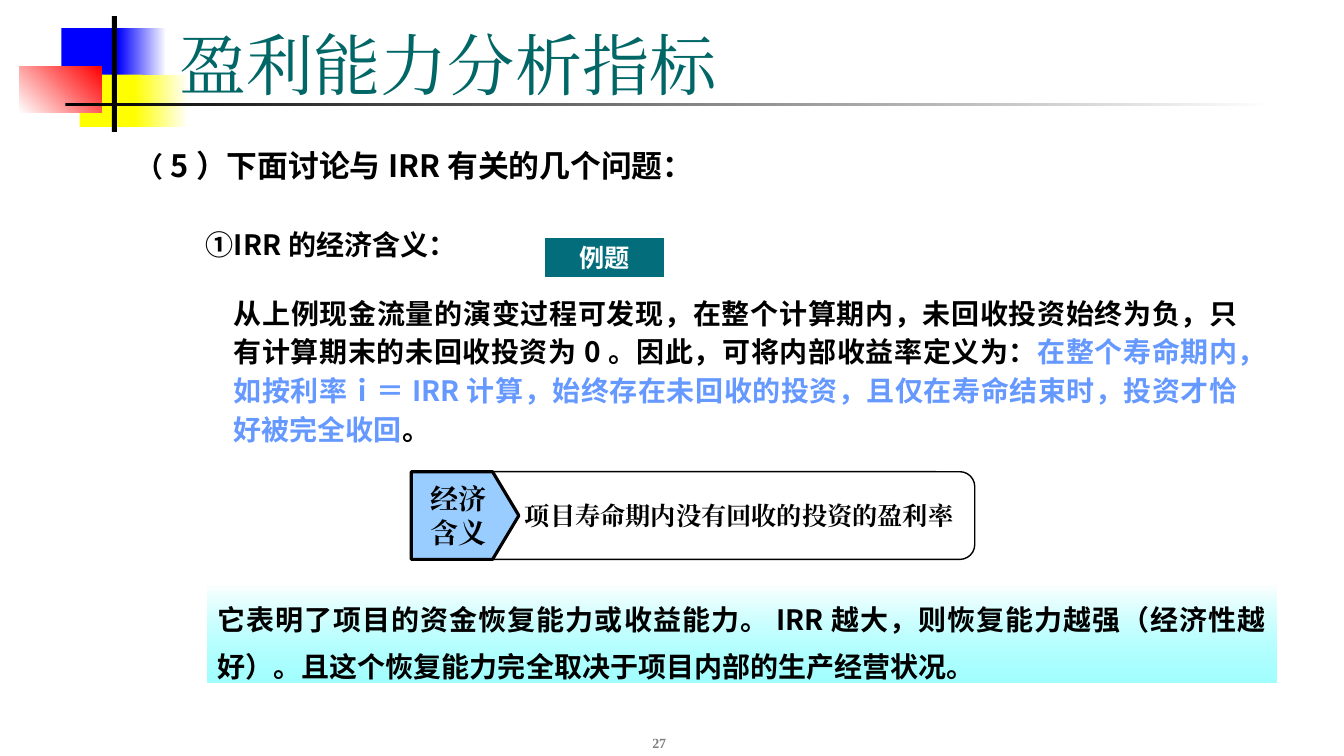
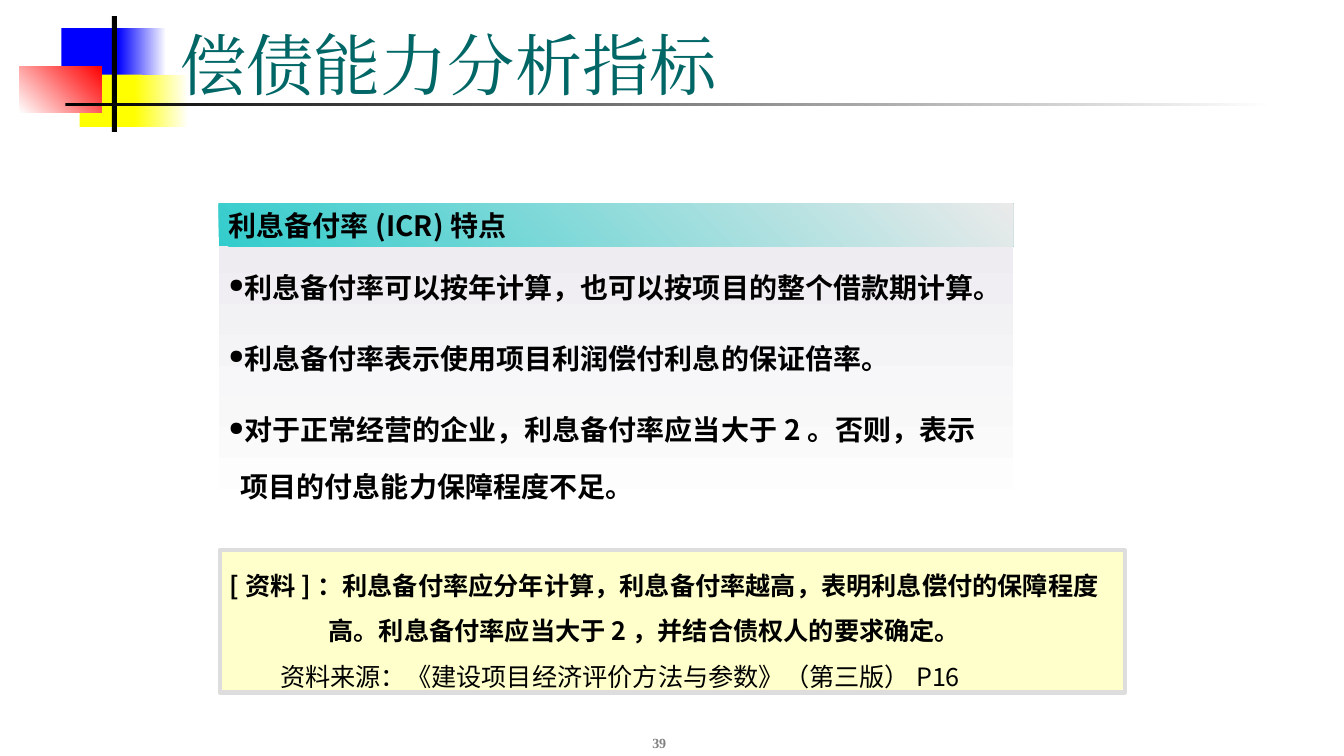
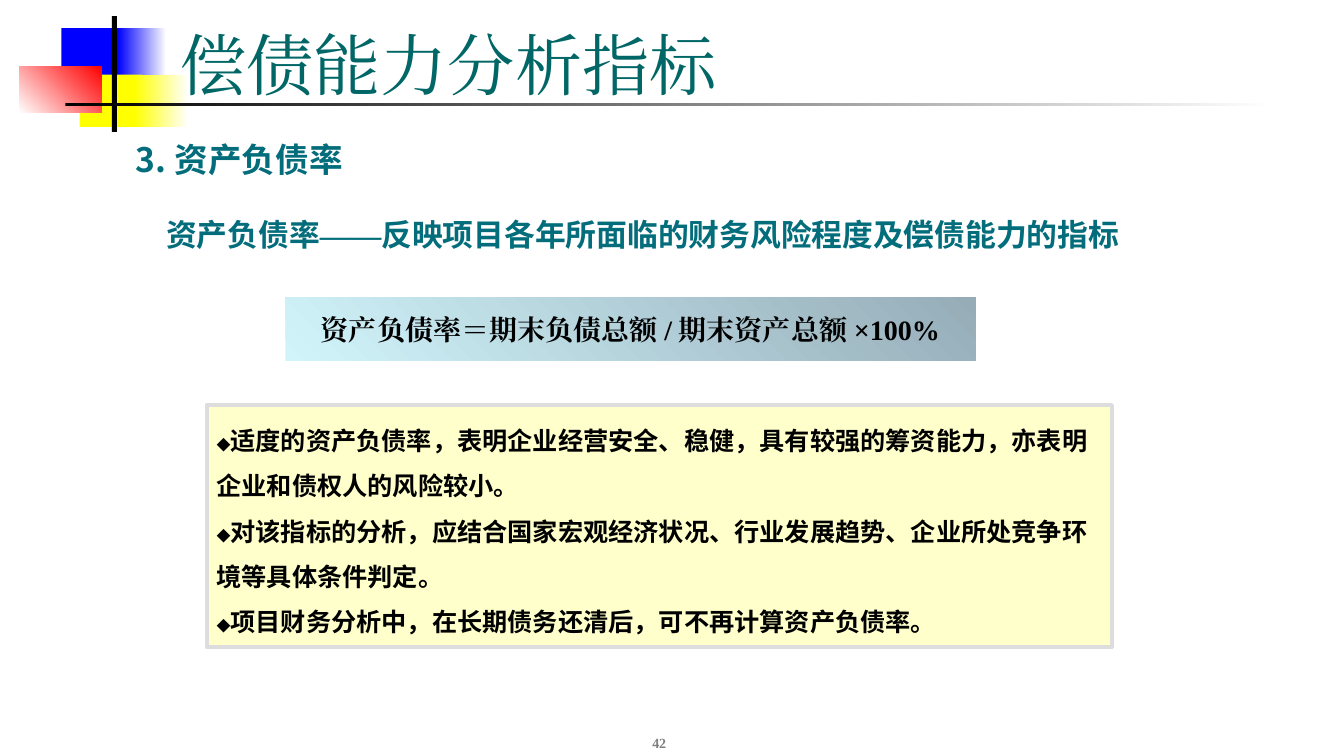
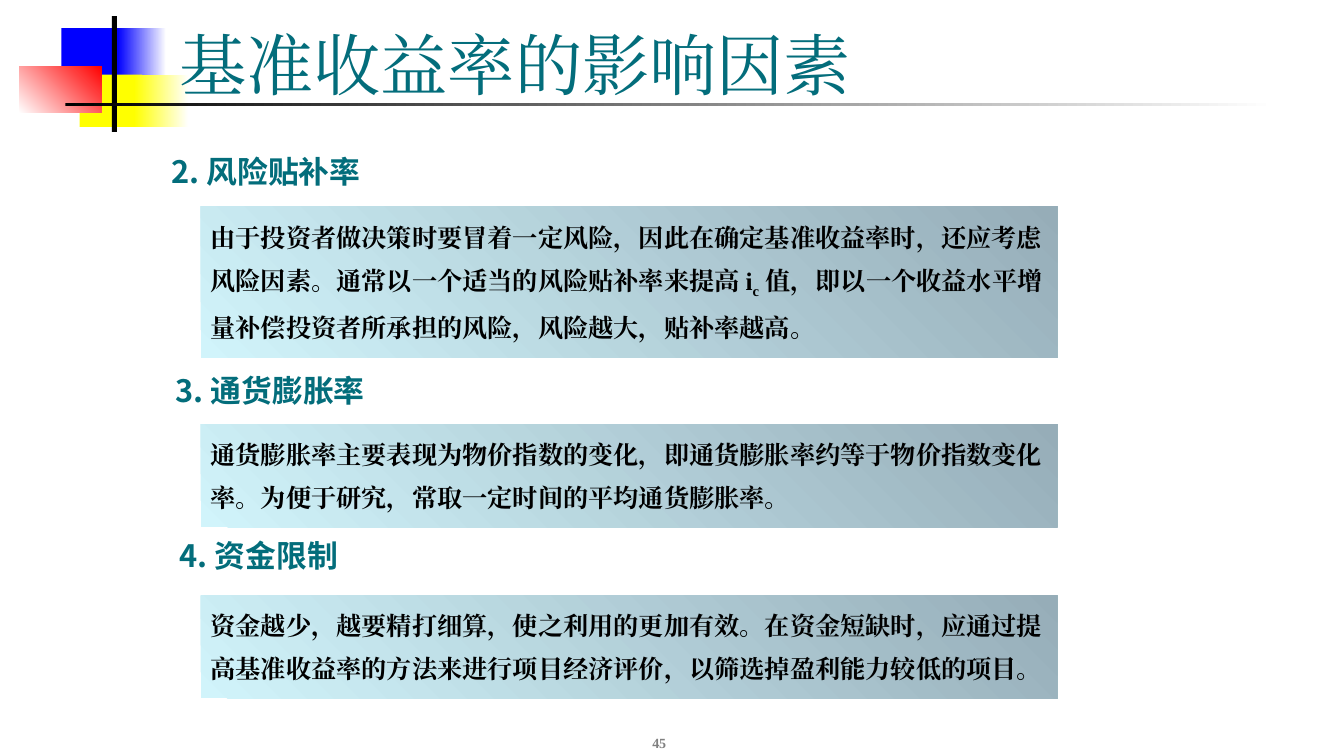
from dataclasses import dataclass, replace

from lxml.etree import SubElement
from pptx import Presentation
from pptx.dml.color import RGBColor
from pptx.enum.shapes import MSO_SHAPE
from pptx.enum.text import MSO_ANCHOR, PP_ALIGN
from pptx.oxml.ns import qn
from pptx.util import Inches, Pt

# The slide is a grid of 133.33 columns by 75 rows; boxes are
# (left, top, width, height) in grid cells.
CELL = Inches(0.1)
COLUMNS, ROWS = 133.33, 75

SANS, SERIF = "Noto Sans CJK SC", "Times New Roman"
BLACK, WHITE, GREY = "000000", "FFFFFF", "808080"
GREEN, TEAL, SKY = "006666", "036D7B", "6699FF"
BLUE, YELLOW, RED = "0000FF", "FFFF00", "FF0000"
STEEL = ("D1F4FB", "96ADB8", 45)  # from, to, anticlockwise angle
LEFT, CENTER, JUSTIFY = PP_ALIGN.LEFT, PP_ALIGN.CENTER, PP_ALIGN.JUSTIFY
TOP, MIDDLE, BOTTOM = MSO_ANCHOR.TOP, MSO_ANCHOR.MIDDLE, MSO_ANCHOR.BOTTOM


@dataclass
class Style:
    size: float = 18
    font: str = SANS
    ink: str = BLACK
    bold: bool = True
    baseline: int = 0


@dataclass
class Para:
    spans: list  # plain strings, or (string, changes to the style)
    style: Style
    align: PP_ALIGN = LEFT
    lines: float = 1.0
    before: float = 0
    margin: float = 0
    hang: float = 0
    bullet: str = ""


def colour(value):
    return RGBColor.from_string(value)


def cells(box):
    return [round(length * CELL) for length in box]


def inside(box, left, top, width, height):
    """Box given as percentages of an outer box."""
    x, y, w, h = box
    return (x + w * left / 100, y + h * top / 100, w * width / 100, h * height / 100)


# Text
def add_span(para, text, style):
    span = para.add_run()
    span.text = text
    font = span.font
    font.size, font.bold, font.name = Pt(style.size), style.bold, style.font
    font.color.rgb = colour(style.ink)
    props = span._r.get_or_add_rPr()
    props.set("lang", "zh-CN")
    if style.baseline:
        props.set("baseline", str(style.baseline * 1000))
    SubElement(props, qn("a:ea")).set("typeface", style.font)


def add_bullet(props, mark):
    ink = SubElement(SubElement(props, qn("a:buClr")), qn("a:srgbClr"))
    ink.set("val", BLACK)
    SubElement(props, qn("a:buSzPct")).set("val", "70000")
    SubElement(props, qn("a:buChar")).set("char", mark)


def write(shape, paras, anchor=TOP, wrap=True):
    frame = shape.text_frame
    frame.word_wrap, frame.vertical_anchor = wrap, anchor
    for index, item in enumerate(paras):
        para = frame.add_paragraph() if index else frame.paragraphs[0]
        para.alignment, para.line_spacing = item.align, item.lines
        para.space_before = Pt(item.before)
        props = para._p.get_or_add_pPr()
        props.set("marL", str(Inches(item.margin)))
        props.set("indent", str(Inches(-item.hang)))
        if item.bullet:
            add_bullet(props, item.bullet)
        for entry in item.spans:
            text, changes = (entry, {}) if isinstance(entry, str) else entry
            add_span(para, text, replace(item.style, **changes))


def text_box(page, box, paras, anchor=TOP):
    write(page.shapes.add_textbox(*cells(box)), paras, anchor)


# Shapes
def panel(page, box, fill=None, line=None, kind=MSO_SHAPE.RECTANGLE, adjust=None):
    """Preset shape; fill is a colour or (from, to, angle)."""
    shape = page.shapes.add_shape(kind, *cells(box))
    shape.shadow.inherit = False
    if adjust:
        shape.adjustments[0] = adjust
    if fill is None:
        shape.fill.background()
    elif isinstance(fill, str):
        shape.fill.solid()
        shape.fill.fore_color.rgb = colour(fill)
    else:
        shape.fill.gradient()
        shape.fill.gradient_angle = fill[2]
        for stop, value in zip(shape.fill.gradient_stops, fill):
            stop.color.rgb = colour(value)
    if line:
        shape.line.color.rgb, shape.line.width = colour(line[0]), Pt(line[1])
    else:
        shape.line.fill.background()
    return shape


# Parts shared by all slides
def badge(page, box):
    for part, fill in (
        ((25, 10.4, 38.1, 45.2), BLUE),
        ((58.3, 10.4, 28.6, 45.2), (BLUE, WHITE, 0)),
        ((35.7, 50.4, 36.9, 45.2), YELLOW),
        ((67.9, 50.4, 32.1, 45.2), (YELLOW, WHITE, 0)),
        ((0, 43.5, 48.8, 40), (WHITE, RED, 45)),
        ((54.8, 0, 3, 100), BLACK),
    ):
        panel(page, inside(box, *part), fill)


def new_page(deck, title, number, ink=GREEN):
    page = deck.slides.add_slide(deck.slide_layouts[6])
    badge(page, (1.9, 1.6, 16.8, 11.5))
    panel(page, (6.5, 10.2, 120, 0.3), (BLACK, WHITE, 0))
    number_style = Style(10, SERIF, GREY)
    text_box(page, (51.5, 70, 27.8, 5), [Para([number], number_style, CENTER)], BOTTOM)
    title_style = Style(48, SERIF, ink, bold=False)
    text_box(page, (16.8, 1.6, 113.6, 9.2), [Para([title], title_style, before=9.6)], BOTTOM)
    return page


def heading(page, box, spans, size=22):
    text_box(page, box, [Para(spans, Style(size, ink=TEAL), before=size * 0.2)])


def note(page, box, paras):
    write(panel(page, box, "FFFFCC", ("DDDDDD", 3)), paras)


def steel_box(page, box, rows, size=18, align=LEFT):
    paras = [Para(row, Style(size, SERIF), align, before=size / 2) for row in rows]
    write(panel(page, box, STEEL), paras, MIDDLE, wrap=False)


# Regions of single slides
def meaning_tag(page, box):
    text_box(page, inside(box, 18.4, 26.4, 99, 46),
             [Para(["项目寿命期内没有回收的投资的盈利率"], Style(18, SERIF), before=1.8)])
    panel(page, inside(box, 8.8, 0, 91.2, 100), None, (BLACK, 1),
          MSO_SHAPE.ROUNDED_RECTANGLE, 0.17)
    arrow = panel(page, inside(box, 0, 0, 19.1, 100), "99CCFF", (BLACK, 2.25),
                  MSO_SHAPE.PENTAGON, 0.3)
    write(arrow, [Para(["经济含义"], Style(20, SERIF), CENTER)], MIDDLE)


def feature_card(page, box, title, points):
    body = panel(page, inside(box, 0, 12.1, 100, 87.9), ("EEECF0", WHITE, 270))
    write(body, [Para([point], Style(20), lines=1.7, before=10, margin=0.12,
                      hang=0.12, bullet="●") for point in points])
    bar = panel(page, inside(box, 0, 0, 100, 13.4), ("33CCCC", "EAEAEA", 45))
    write(bar, [Para([title], Style(20), JUSTIFY)], MIDDLE)


# Slides
def irr_page(deck):
    page = new_page(deck, "盈利能力分析指标", "27")
    text_box(page, (12.5, 14.1, 63, 4.7), [Para(
        [("（", {"size": 20}), "5）下面讨论与IRR有关的几个问题："], Style(22), JUSTIFY)])
    text_box(page, (17.9, 22.1, 29.9, 4.3),
             [Para(["①IRR的经济含义："], Style(20), CENTER)])
    text_box(page, (22.2, 28.4, 101.6, 16.4), [Para([
        "从上例现金流量的演变过程可发现，在整个计算期内，未回收投资始终为负，"
        "只有计算期末的未回收投资为0。因此，可将内部收益率定义为：",
        ("在整个寿命期内，如按利率ｉ＝IRR计算，始终存在未回收的投资，"
         "且仅在寿命结束时，投资才恰好被完全收回", {"ink": SKY}),
        "。"], Style(20), JUSTIFY, lines=1.15, before=4)])
    button = panel(page, (54.1, 23.6, 11.8, 3.9), TEAL,
                   kind=MSO_SHAPE.ACTION_BUTTON_CUSTOM)
    write(button, [Para(["例题"], Style(18, ink=WHITE), CENTER)], MIDDLE)
    summary = panel(page, (20.6, 57.9, 106, 9.8), (WHITE, "66FFFF", 270))
    # The lower colour lets 60 % through
    last_stop = summary._element.spPr.findall(".//" + qn("a:srgbClr"))[-1]
    SubElement(last_stop, qn("a:alpha")).set("val", "60000")
    write(summary, [Para([
        "它表明了项目的资金恢复能力或收益能力。IRR越大，则恢复能力越强（经济性越好）。"
        "且这个恢复能力完全取决于项目内部的生产经营状况。"],
        Style(20), JUSTIFY, lines=1.4)])
    meaning_tag(page, (40.8, 46.8, 55.9, 8.7))


def interest_page(deck):
    page = new_page(deck, "偿债能力分析指标", "39")
    note(page, (21.8, 54.6, 89.8, 14.1), [
        Para(["[资料]：利息备付率应分年计算，利息备付率越高，表明利息偿付的保障程度高。"
              "利息备付率应当大于2，并结合债权人的要求确定。"],
             Style(), lines=1.5, margin=0.98, hang=0.98),
        Para(["资料来源：《建设项目经济评价方法与参数》（第三版）P16"],
             Style(bold=False), lines=1.5, margin=0.5)])
    feature_card(page, (21.7, 20.2, 78.8, 31.4), "利息备付率(ICR)特点", [
        "利息备付率可以按年计算，也可以按项目的整个借款期计算。",
        "利息备付率表示使用项目利润偿付利息的保证倍率。",
        "对于正常经营的企业，利息备付率应当大于2。否则，表示项目的付息能力保障程度不足。"])


def debt_page(deck):
    page = new_page(deck, "偿债能力分析指标", "42")
    heading(page, (15.5, 20.9, 101.4, 4.7), [
        "资产负债率", ("——", {"font": SERIF}),
        "反映项目各年所面临的财务风险程度及偿债能力的指标"])
    steel_box(page, (28.3, 29.5, 68.5, 6.3),
              [["资产负债率＝期末负债总额/期末资产总额×100%"]], 20, CENTER)
    heading(page, (12.5, 13.3, 44.1, 5), ["3.资产负债率"], 24)
    diamond = ("◆", {"size": 10, "font": SERIF})
    note(page, (20.5, 40.2, 89.8, 24), [
        Para([diamond, text], Style(), lines=1.5) for text in (
            "适度的资产负债率，表明企业经营安全、稳健，具有较强的筹资能力，"
            "亦表明企业和债权人的风险较小。",
            "对该指标的分析，应结合国家宏观经济状况、行业发展趋势、"
            "企业所处竞争环境等具体条件判定。",
            "项目财务分析中，在长期债务还清后，可不再计算资产负债率。")])


def factors_page(deck):
    page = new_page(deck, "基准收益率的影响因素", "45", TEAL)
    factors = (
        (16, 14.7, "2.风险贴补率", 20.5, 15, JUSTIFY, [
            ["由于投资者做决策时要冒着一定风险，因此在确定基准收益率时，还应考虑"],
            ["风险因素。通常以一个适当的风险贴补率来提高i", ("c", {"baseline": -25}),
             "值，即以一个收益水平增"],
            ["量补偿投资者所承担的风险，风险越大，贴补率越高。"]]),
        (16.4, 36.4, "3.通货膨胀率", 42.1, 10.2, LEFT, [
            ["通货膨胀率主要表现为物价指数的变化，即通货膨胀率约等于物价指数变化"],
            ["率。为便于研究，常取一定时间的平均通货膨胀率。"]]),
        (16.8, 52.8, "4.资金限制", 59.1, 10.2, LEFT, [
            ["资金越少，越要精打细算，使之利用的更加有效。在资金短缺时，应通过提"],
            ["高基准收益率的方法来进行项目经济评价，以筛选掉盈利能力较低的项目。"]]),
    )
    for left, top, title, box_top, box_height, align, rows in factors:
        heading(page, (left, top, 44.1, 4.7), [title])
        steel_box(page, (19.9, box_top, 85, box_height), rows, align=align)


def main():
    deck = Presentation()
    deck.slide_width, deck.slide_height = cells((COLUMNS, ROWS))
    for build in (irr_page, interest_page, debt_page, factors_page):
        build(deck)
    deck.save("out.pptx")


if __name__ == "__main__":
    main()
